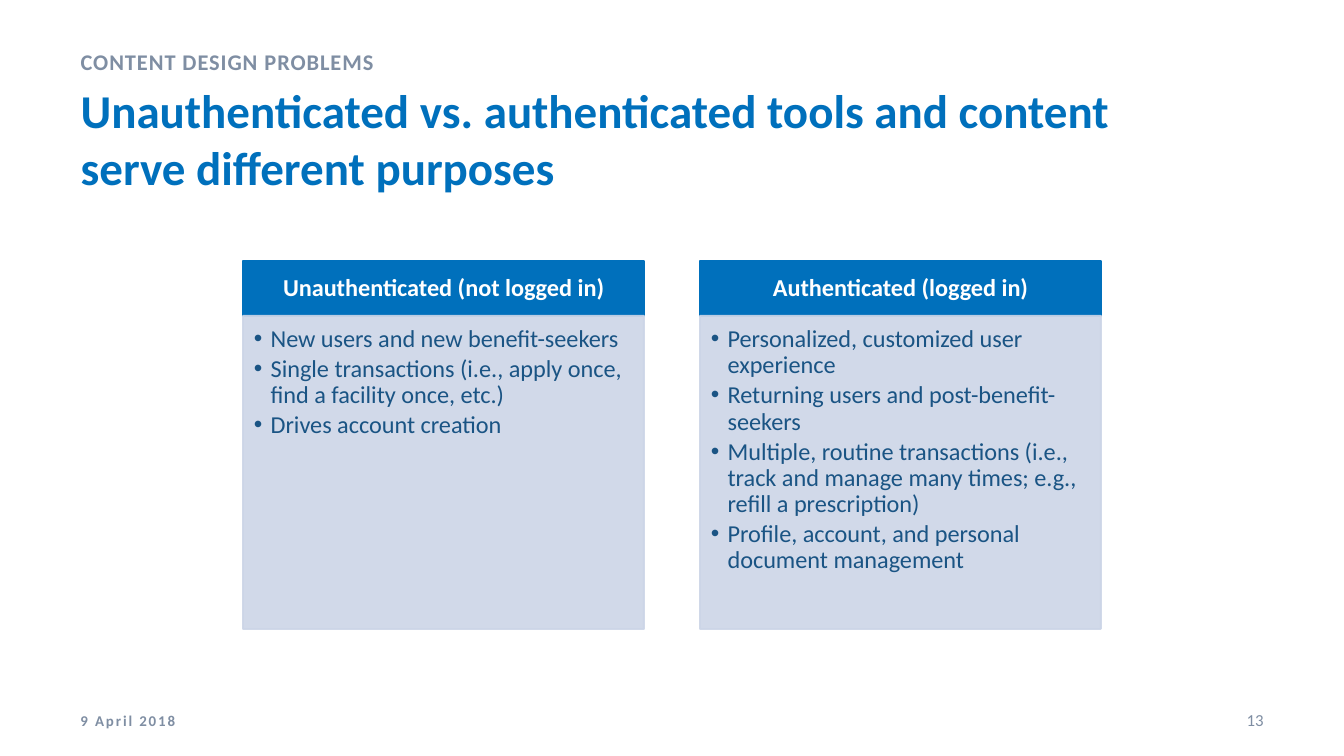
from typing import NamedTuple

from lxml.etree import SubElement
from pptx import Presentation
from pptx.dml.color import RGBColor
from pptx.enum.shapes import MSO_SHAPE as Shape
from pptx.enum.text import MSO_ANCHOR as Anchor, MSO_AUTO_SIZE as AutoSize, PP_ALIGN as Align
from pptx.oxml.ns import qn
from pptx.util import Pt

COLORS = {"blue": "0070BC", "panel": "CCD5E7", "text": "1A5484", "gray": "7F8EA3", "white": "FFFFFF"}
PANEL_LEFT, PANEL_TOP, PANEL_WIDTH, PANEL_GAP = 130.2, 139.7, 214.8, 30
HEADER_HEIGHT, LIST_HEIGHT = 29.5, 167.8
BULLET_INDENT = 9


class Box(NamedTuple):
    left: float
    top: float
    width: float
    height: float


class Style(NamedTuple):
    size: float
    color: str
    bold: bool = False
    tracking: float = 0
    align: Align = Align.LEFT
    anchor: Anchor = Anchor.TOP
    insets: tuple = (7.2, 3.6, 7.2, 3.6)
    line_spacing: float = 1
    space_after: float = 0
    bullet: str = ""


class Panel(NamedTuple):
    heading: str
    points: list


TITLE = Style(25.2, "blue", bold=True)
KICKER = Style(12, "gray", bold=True, tracking=0.5, line_spacing=1.2, space_after=6)
DATE = Style(8, "gray", bold=True, tracking=1, anchor=Anchor.MIDDLE)
PAGE = Style(9, "gray", align=Align.RIGHT, anchor=Anchor.MIDDLE)
HEADING = Style(13, "white", bold=True, align=Align.CENTER, anchor=Anchor.MIDDLE,
                insets=(7.2, 4.2, 7.2, 4.2), line_spacing=0.9)
POINTS = Style(13, "text", insets=(5.8, 5.8, 7.2, 7.9), line_spacing=0.9,
               space_after=2, bullet="•")

PANELS = [
    Panel("Unauthenticated (not logged in)", [
        "New users and new benefit-seekers",
        "Single transactions (i.e., apply once, find a facility once, etc.)",
        "Drives account creation",
    ]),
    Panel("Authenticated (logged in)", [
        "Personalized, customized user experience",
        "Returning users and post-benefit-seekers",
        "Multiple, routine transactions (i.e., track and manage many times; e.g., refill a prescription)",
        "Profile, account, and personal document management",
    ]),
]


def set_attributes(target, values: dict) -> None:
    for name, value in values.items():
        setattr(target, name, value)


def rgb(color: str) -> RGBColor:
    return RGBColor.from_string(COLORS[color])


def place(shape, box: Box) -> None:
    set_attributes(shape, {side: Pt(length) for side, length in box._asdict().items()})


def set_bullet(paragraph, bullet: str) -> None:
    properties = paragraph._p.get_or_add_pPr()
    indent = Pt(BULLET_INDENT) if bullet else 0
    properties.set("marL", str(indent))
    properties.set("indent", str(-indent))
    if bullet:
        SubElement(properties, qn("a:buFont"), typeface="Arial")
        SubElement(properties, qn("a:buChar"), char=bullet)
    else:
        SubElement(properties, qn("a:buNone"))


def write(shape, lines: list, style: Style) -> None:
    frame = shape.text_frame
    left, top, right, bottom = (Pt(inset) for inset in style.insets)
    set_attributes(frame, {
        "word_wrap": True, "auto_size": AutoSize.NONE, "vertical_anchor": style.anchor,
        "margin_left": left, "margin_top": top, "margin_right": right, "margin_bottom": bottom,
    })
    for number, line in enumerate(lines):
        paragraph = frame.add_paragraph() if number else frame.paragraphs[0]
        set_bullet(paragraph, style.bullet)
        set_attributes(paragraph, {
            "alignment": style.align, "line_spacing": style.line_spacing,
            "space_before": Pt(0), "space_after": Pt(style.space_after),
        })
        run = paragraph.add_run()
        run.text = line
        set_attributes(run.font, {"name": "Calibri", "size": Pt(style.size), "bold": style.bold})
        run.font.color.rgb = rgb(style.color)
        if style.tracking:
            run.font._element.set("spc", str(round(style.tracking * 100)))


def add_block(slide, box: Box, color: str, opacity: int = 100):
    """Add a rectangle whose fill and outline share one colour and opacity."""
    block = slide.shapes.add_shape(Shape.RECTANGLE, *(Pt(length) for length in box))
    block.shadow.inherit = False
    block.fill.solid()
    block.fill.fore_color.rgb = rgb(color)
    block.line.color.rgb = rgb(color)
    block.line.width = Pt(1)
    if opacity < 100:
        for paint in block._element.spPr.iter(qn("a:srgbClr")):
            SubElement(paint, qn("a:alpha"), val=str(opacity * 1000))
    return block


def add_panel(slide, panel: Panel, left: float) -> None:
    header = add_block(slide, Box(left, PANEL_TOP, PANEL_WIDTH, HEADER_HEIGHT), "blue")
    write(header, [panel.heading], HEADING)
    list_box = Box(left, PANEL_TOP + HEADER_HEIGHT, PANEL_WIDTH, LIST_HEIGHT)
    write(add_block(slide, list_box, "panel", opacity=90), panel.points, POINTS)


def main() -> None:
    deck = Presentation()
    set_attributes(deck, {"slide_width": Pt(720), "slide_height": Pt(405)})
    slide = deck.slides.add_slide(deck.slide_layouts[1])

    title, kicker = slide.shapes.title, slide.placeholders[1]
    place(title, Box(36, 40.3, 594, 49.7))
    write(title, ["Unauthenticated vs. authenticated tools and content serve different purposes"], TITLE)
    place(kicker, Box(36, 19.4, 594, 20.9))
    write(kicker, ["CONTENT DESIGN PROBLEMS"], KICKER)

    for column, panel in enumerate(PANELS):
        add_panel(slide, panel, PANEL_LEFT + column * (PANEL_WIDTH + PANEL_GAP))

    footers = [("9 April 2018", Box(36, 375, 162, 21.6), DATE),
               ("13", Box(630, 375, 54, 21.6), PAGE)]
    for text, box, style in footers:
        footer = slide.shapes.add_textbox(*(Pt(length) for length in box))
        write(footer, [text], style)

    deck.save("out.pptx")


if __name__ == "__main__":
    main()
